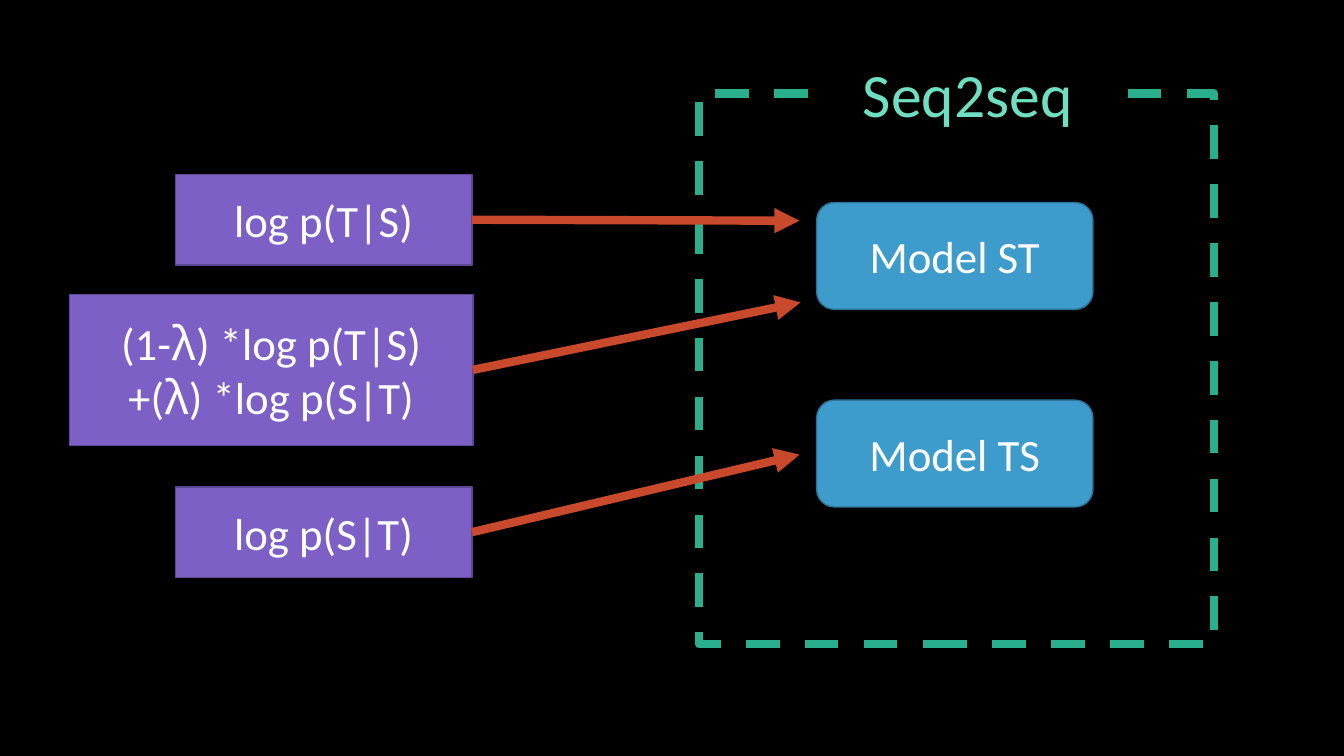
from lxml import etree
from pptx import Presentation
from pptx.dml.color import RGBColor as Rgb
from pptx.enum.dml import MSO_LINE as Dash
from pptx.enum.shapes import MSO_CONNECTOR as Conn, MSO_SHAPE as Kind
from pptx.enum.text import MSO_ANCHOR as Anchor, MSO_AUTO_SIZE as Fit, PP_ALIGN as Align
from pptx.oxml.ns import qn
from pptx.util import Inches, Pt

# Content
TITLE = "Seq2seq"
MODELS = [("Model ST", 2.01), ("Model TS", 3.97)]
# lines of text, box (left, top, width, height), arrow tip height
SCORES = [
    (["log p(S|T)"], (1.74, 4.83, 2.94, 0.9), 4.51),
    (["(1-λ) *log p(T|S)", "+(λ) *log p(S|T)"], (0.69, 2.92, 4, 1.5), 3),
    (["log p(T|S)"], (1.74, 1.73, 2.94, 0.9), 2.19),
]
REACH = 3.25  # horizontal run of every arrow
FONT, GREEK = "Calibri", "Noto Sans CJK TC"
COLORS = {
    "back": "000000", "frame": "29AF8C", "title": "70DEC1", "text": "FFFFFF",
    "model": "3D9CCC", "model_edge": "2D7397",
    "score": "7C60C6", "score_edge": "5C4792", "arrow": "C9492C",
}


def color(name):
    return Rgb.from_string(COLORS[name])


def add_box(slide, kind, box, fill=None, edge=None, weight=1):
    shape = slide.shapes.add_shape(kind, *map(Inches, box))
    shape.shadow.inherit = False
    for part, name in ((shape.fill, fill), (shape.line.fill, edge)):
        if name:
            part.solid()
            part.fore_color.rgb = color(name)
        else:
            part.background()
    if edge:
        shape.line.width = Pt(weight)
    return shape


def add_text(shape, lines, size=32, tint="text", anchor=Anchor.MIDDLE):
    frame = shape.text_frame
    frame.word_wrap = True
    frame.vertical_anchor = anchor
    for i, line in enumerate(lines):
        para = frame.paragraphs[0] if i == 0 else frame.add_paragraph()
        para.alignment = Align.CENTER
        # The Greek letter has its own font
        head, greek, rest = line.partition("λ")
        for text, face in ((head, FONT), (greek, GREEK), (rest, FONT)):
            if text:
                run = para.add_run()
                run.text = text
                run.font.name = face
                run.font.size = Pt(size)
                run.font.color.rgb = color(tint)


def add_arrow(slide, start, end):
    arrow = slide.shapes.add_connector(Conn.STRAIGHT, *map(Inches, start + end))
    arrow.line.width = Pt(6)
    arrow.line.color.rgb = color("arrow")
    props = arrow.line._get_or_add_ln()
    etree.SubElement(props, qn("a:tailEnd"), type="triangle")
    etree.SubElement(arrow._element.spPr, qn("a:effectLst"))


def main():
    deck = Presentation()
    deck.slide_width, deck.slide_height = Inches(13.33), Inches(7.5)
    slide = deck.slides.add_slide(deck.slide_layouts[6])
    slide.background.fill.solid()
    slide.background.fill.fore_color.rgb = color("back")

    # Dashed frame with its title
    frame = add_box(slide, Kind.RECTANGLE, (6.93, 0.93, 5.11, 5.46), edge="frame", weight=6)
    frame.line.dash_style = Dash.DASH
    title = add_box(slide, Kind.RECTANGLE, (8.21, 0.51, 2.78, 0.84), "back")
    add_text(title, [TITLE], 44, "title", Anchor.TOP)
    title.text_frame.auto_size = Fit.SHAPE_TO_FIT_TEXT

    # Models
    for name, top in MODELS:
        box = (8.1, top, 2.74, 1.06)
        model = add_box(slide, Kind.ROUNDED_RECTANGLE, box, "model", "model_edge")
        add_text(model, [name])

    # Scores, each with an arrow from its right side
    for lines, box, tip in SCORES:
        add_text(add_box(slide, Kind.RECTANGLE, box, "score", "score_edge"), lines)
        left, top, width, height = box
        right = left + width
        add_arrow(slide, (right, top + height / 2), (right + REACH, tip))

    deck.save("out.pptx")


if __name__ == "__main__":
    main()
